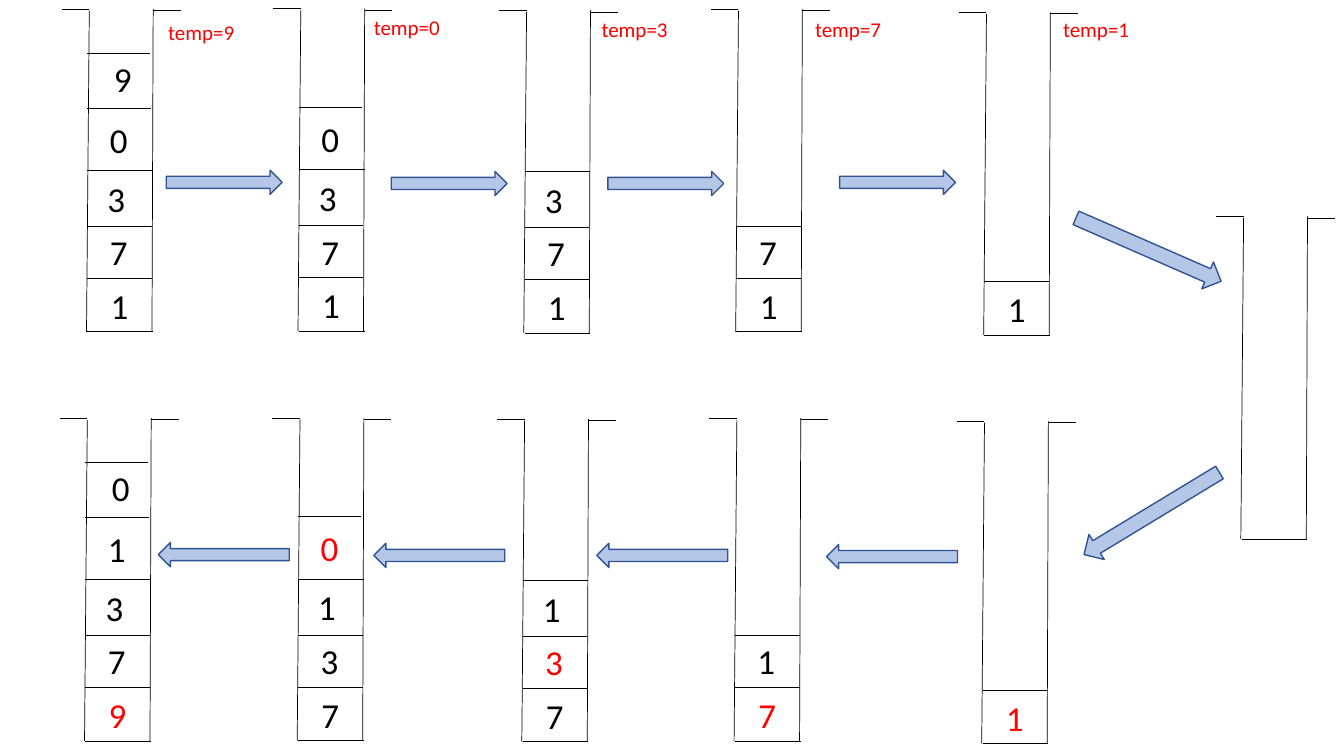
from lxml.etree import SubElement
from pptx import Presentation
from pptx.dml.color import RGBColor
from pptx.enum.shapes import MSO_CONNECTOR as CONNECTOR, MSO_SHAPE as SHAPE
from pptx.enum.text import MSO_AUTO_SIZE as AUTO_SIZE
from pptx.oxml.ns import qn
from pptx.util import Cm, Pt

BLACK = RGBColor(0x00, 0x00, 0x00)
RED = RGBColor(0xFF, 0x00, 0x00)
ARROW_FILL = RGBColor(0xB4, 0xC7, 0xE7)
POP_LINE = RGBColor(0x32, 0x54, 0x91)
PUSH_LINE = RGBColor(0x2F, 0x55, 0x97)
FONT = "Calibri"

# Stack outline: x1, y1, x2, y2 from the outer end of the left lip
OUTLINE = [
    (0, 0, 0.7, 0),             # left lip
    (2.31, 0.04, 3, 0.04),      # right lip
    (0.7, 0.04, 0.63, 8.13),    # left wall
    (2.31, 0, 2.28, 8.13),      # right wall
    (0.65, 8.13, 2.31, 8.13),   # floor
]
# Cells from the floor up: divider y, divider end x, digit left, digit top, digit width
CELLS = [
    (6.78, 2.28, 0.99, 6.81, 0.91),
    (5.47, 2.28, 0.97, 5.46, 1.22),
    (4.06, 2.31, 0.91, 4.11, 1.22),
    (2.49, 2.25, 0.97, 2.62, 0.94),
    (1.12, 2.22, 1.07, 1.09, 0.94),
]

# Stacks: left, top, digits from the floor up, red digit
STACKS = [
    (1.55, 0.23, "17309", ""),
    (6.88, 0.22, "1730", ""),
    (12.57, 0.26, "173", ""),
    (17.91, 0.23, "17", ""),
    (24.16, 0.31, "1", ""),
    (1.5, 10.54, "97310", "9"),
    (6.86, 10.53, "7310", "0"),
    (12.52, 10.56, "731", "3"),
    (17.87, 10.54, "71", "7"),
    (24.11, 10.61, "1", "1"),
    (30.64, 5.45, "", ""),
]
POP_ARROWS = [(4.19, 4.29), (9.86, 4.32), (15.32, 4.32), (21.16, 4.29)]
TURN_ARROWS = [(26.95, 5.92, 23.6), (27.03, 12.57, 148.8)]
PUSH_ARROWS = [(20.83, 13.72), (15.04, 13.69), (9.42, 13.69), (3.99, 13.67)]
# Popped values: left, top, digit
TEMPS = [(3.99, 0.36, 9), (9.17, 0.25, 0), (14.91, 0.3, 3),
         (20.29, 0.28, 7), (26.54, 0.28, 1)]


def add_text(slide, text, left, top, width, height, size=25, color=BLACK):
    box = slide.shapes.add_textbox(Cm(left), Cm(top), Cm(width), Cm(height))
    frame = box.text_frame
    frame.word_wrap = True
    frame.auto_size = AUTO_SIZE.SHAPE_TO_FIT_TEXT
    run = frame.paragraphs[0].add_run()
    run.text = text
    run.font.name = FONT
    run.font.size = Pt(size)
    run.font.color.rgb = color


def add_line(slide, x1, y1, x2, y2):
    line = slide.shapes.add_connector(
        CONNECTOR.STRAIGHT, Cm(x1), Cm(y1), Cm(x2), Cm(y2))
    line.line.color.rgb = BLACK
    line.line.width = Pt(0.5)
    SubElement(line._element.spPr, qn("a:effectLst"))


def add_stack(slide, left, top, digits, red_digit):
    cells = CELLS[:len(digits)]
    dividers = [(0.65, y, end, y) for y, end, *_ in cells]
    for x1, y1, x2, y2 in OUTLINE + dividers:
        add_line(slide, left + x1, top + y1, left + x2, top + y2)
    for digit, (_, _, x, y, width) in zip(digits, cells):
        add_text(slide, digit, left + x, top + y, width, 1.32,
                 color=RED if digit == red_digit else BLACK)


def add_arrow(slide, left, top, width, height, rotation=0, line_color=POP_LINE):
    arrow = slide.shapes.add_shape(
        SHAPE.RIGHT_ARROW, Cm(left), Cm(top), Cm(width), Cm(height))
    arrow.rotation = rotation
    arrow.shadow.inherit = False
    arrow.fill.solid()
    arrow.fill.fore_color.rgb = ARROW_FILL
    arrow.line.color.rgb = line_color
    arrow.line.width = Pt(1)


def add_steps(slide):
    # Pop to the right, turn round, push to the left
    for left, top in POP_ARROWS:
        add_arrow(slide, left, top, 2.92, 0.61)
    for left, top, rotation in TURN_ARROWS:
        add_arrow(slide, left, top, 3.99, 0.74, rotation)
    for left, top in PUSH_ARROWS:
        add_arrow(slide, left, top, 3.3, 0.61, 180, PUSH_LINE)
    # Value held after each pop
    for left, top, digit in TEMPS:
        add_text(slide, f"temp={digit}", left, top, 2.29, 0.89, size=15, color=RED)


presentation = Presentation()
presentation.slide_width = Cm(33.87)
presentation.slide_height = Cm(19.05)
slide = presentation.slides.add_slide(presentation.slide_layouts[6])
for stack in STACKS:
    add_stack(slide, *stack)
add_steps(slide)
presentation.save("out.pptx")
